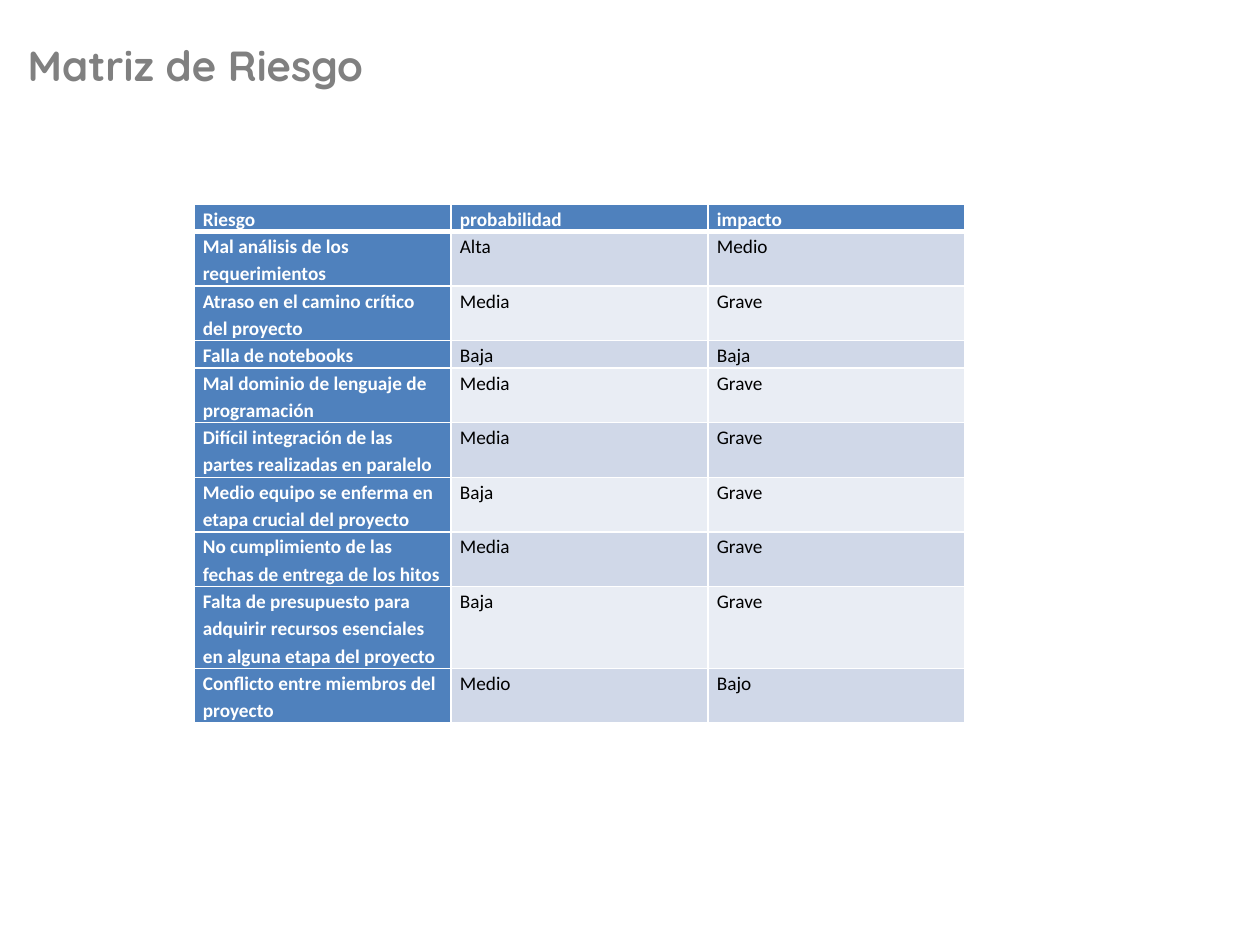
"""Build the risk matrix slide."""
from dataclasses import dataclass

from lxml.etree import SubElement
from pptx import Presentation
from pptx.dml.color import RGBColor
from pptx.enum.text import MSO_ANCHOR as Anchor, PP_ALIGN as Align
from pptx.oxml.ns import qn
from pptx.util import Inches, Pt

WHITE, BLACK, GRAY = "FFFFFF", "000000", "808080"
BLUE, BANDS = "4F81BD", ("D0D8E8", "E9EDF4")
COLUMN_WIDTH, LINE_HEIGHT = 2.04, 0.21


@dataclass
class Risk:
    name: str
    probability: str
    impact: str
    lines: int = 2


@dataclass
class CellStyle:
    fill: str
    color: str
    bold: bool
    bottom: float


RISKS = [
    Risk("Riesgo", "probabilidad", "impacto", 1),
    Risk("Mal análisis de los requerimientos", "Alta", "Medio"),
    Risk("Atraso en el camino crítico del proyecto", "Media", "Grave"),
    Risk("Falla de notebooks", "Baja", "Baja", 1),
    Risk("Mal dominio de lenguaje de programación", "Media", "Grave"),
    Risk("Difícil integración de las partes realizadas en paralelo", "Media", "Grave"),
    Risk("Medio equipo se enferma en etapa crucial del proyecto", "Baja", "Grave"),
    Risk("No cumplimiento de las fechas de entrega de los hitos", "Media", "Grave"),
    Risk("Falta de presupuesto para adquirir recursos esenciales en alguna etapa del proyecto",
         "Baja", "Grave", 3),
    Risk("Conflicto entre miembros del proyecto", "Medio", "Bajo"),
]


def rgb(value: str) -> RGBColor:
    return RGBColor.from_string(value)


def set_attributes(target, values: dict) -> None:
    for name, value in values.items():
        setattr(target, name, value)


def write(frame, text: str, color: str, font: dict, para_format: dict) -> None:
    para = frame.paragraphs[0]
    set_attributes(para, para_format)
    span = para.add_run()
    span.text = text
    set_attributes(span.font, font)
    span.font.color.rgb = rgb(color)


def add_borders(cell, bottom: float) -> None:
    properties = cell._tc.get_or_add_tcPr()
    for side, width in {"L": 1, "R": 1, "T": 1, "B": bottom}.items():
        line = SubElement(properties, qn(f"a:ln{side}"), w=str(Pt(width)))
        fill = SubElement(line, qn("a:solidFill"))
        SubElement(fill, qn("a:srgbClr"), val=WHITE)


def style_for(row: int, column: int) -> CellStyle:
    if row == 0:
        return CellStyle(BLUE, WHITE, True, 3)
    if column == 0:
        return CellStyle(BLUE, WHITE, True, 1)
    return CellStyle(BANDS[(row - 1) % 2], BLACK, False, 1)


def fill_cell(cell, text: str, style: CellStyle) -> None:
    set_attributes(cell, {"margin_left": Inches(0.07), "margin_right": Inches(0.07),
                          "margin_top": 0, "margin_bottom": 0,
                          "vertical_anchor": Anchor.TOP})
    add_borders(cell, style.bottom)
    cell.fill.solid()
    cell.fill.fore_color.rgb = rgb(style.fill)
    write(cell.text_frame, text, style.color,
          {"name": "Calibri", "size": Pt(11), "bold": style.bold},
          {"line_spacing": 1.15})


def add_title(page) -> None:
    title = page.shapes.title
    set_attributes(title, {"left": Inches(0.12), "top": Inches(0.2),
                           "width": Inches(8.5), "height": Inches(0.63)})
    set_attributes(title.text_frame, {"vertical_anchor": Anchor.MIDDLE, "word_wrap": True})
    write(title.text_frame, "Matriz de Riesgo", GRAY,
          {"name": "Quicksand", "size": Pt(24), "bold": True},
          {"alignment": Align.LEFT})


def add_matrix(page, risks: list[Risk]) -> None:
    height = LINE_HEIGHT * sum(risk.lines for risk in risks)
    table = page.shapes.add_table(len(risks), 3, Inches(1.54), Inches(1.62),
                                  Inches(3 * COLUMN_WIDTH), Inches(height)).table
    for column in table.columns:
        column.width = Inches(COLUMN_WIDTH)
    for row, risk in enumerate(risks):
        table.rows[row].height = Inches(LINE_HEIGHT * risk.lines)
        for column, text in enumerate((risk.name, risk.probability, risk.impact)):
            fill_cell(table.cell(row, column), text, style_for(row, column))


def main() -> None:
    deck = Presentation()
    set_attributes(deck, {"slide_width": Inches(10), "slide_height": Inches(7.5)})
    page = deck.slides.add_slide(deck.slide_layouts[5])
    add_title(page)
    add_matrix(page, RISKS)
    deck.save("out.pptx")


if __name__ == "__main__":
    main()
